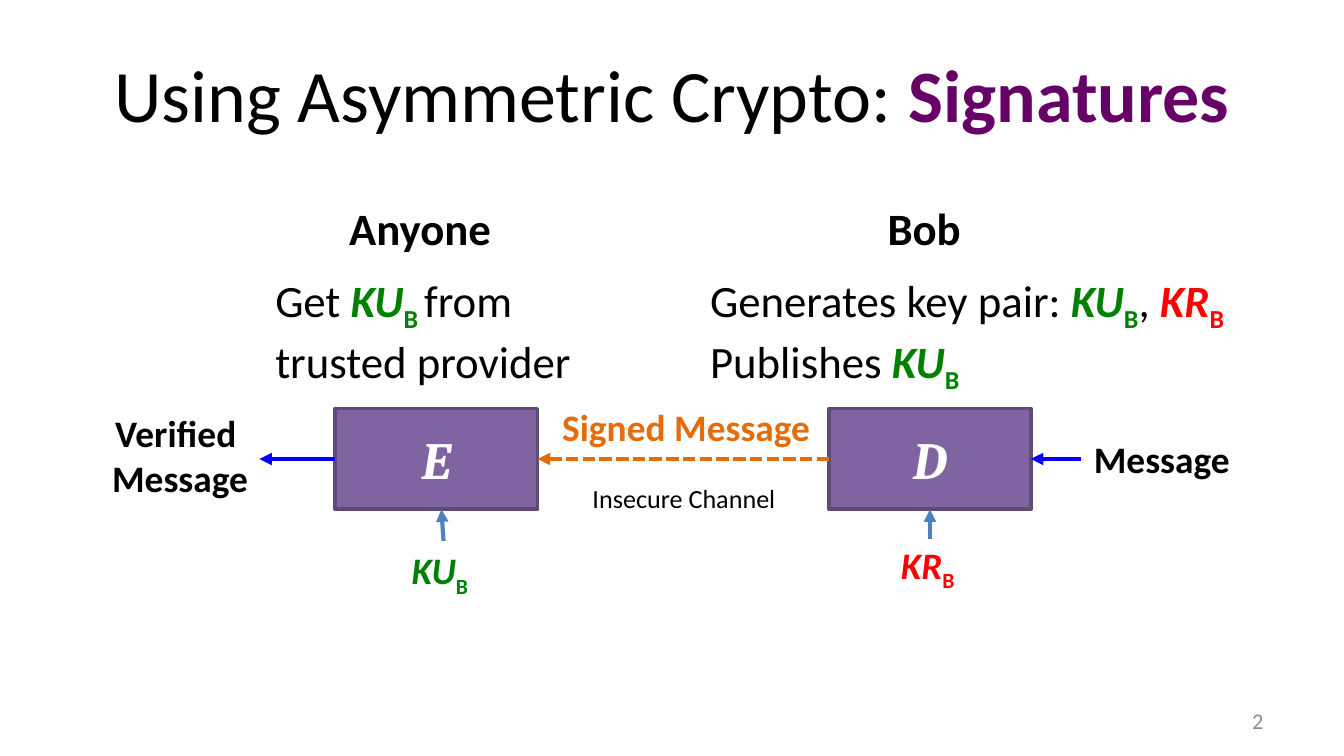
"""Build a slide that shows how a message is signed and verified with asymmetric keys."""
from lxml import etree
from pptx import Presentation, util as u
from pptx.dml.color import RGBColor
from pptx.enum import dml, shapes, text
from pptx.oxml.ns import qn

PX = 4572
COLORS = {
    "black": "000000", "white": "FFFFFF", "gray": "8C8C8C", "plum": "660066",
    "green": "008000", "red": "FF0000", "orange": "E46C0A", "blue": "0000FF",
    "steel": "4F81BD", "box": "8064A2", "edge": "5F4A78",
}
STYLES = {
    "plain": ("black", False, False, 0),
    "bold": ("black", True, False, 0),
    "page": ("gray", False, False, 0),
    "title": ("plum", True, False, 0),
    "signed": ("orange", True, False, 0),
    "cipher": ("white", True, True, 0),
    "public": ("green", True, True, 0),
    "public sub": ("green", True, False, -25),
    "private": ("red", True, True, 0),
    "private sub": ("red", True, False, -25),
}
KU = [("KU", "public"), ("B", "public sub")]
KR = [("KR", "private"), ("B", "private sub")]
L, C, R = text.PP_ALIGN.LEFT, text.PP_ALIGN.CENTER, text.PP_ALIGN.RIGHT
TOP, MID = text.MSO_ANCHOR.TOP, text.MSO_ANCHOR.MIDDLE

LABELS = [
    ((100, 45, 1800, 188), 39.6, C, MID, True,
     [[("Using Asymmetric Crypto: ", "plain"), ("Signatures", "title")]]),
    ((1433, 1043, 467, 60), 12, R, MID, True, [[("2", "page")]]),
    ((500, 289, 255, 101), 24, L, TOP, False, [[("Anyone", "bold")]]),
    ((1301, 289, 150, 101), 24, L, TOP, False, [[("Bob", "bold")]]),
    ((390, 396, 500, 182), 24, L, TOP, True,
     [[("Get ", "plain"), KU[0], ("B ", "public sub"),
       ("from trusted provider", "plain")]]),
    ((1037, 396, 912, 182), 24, L, TOP, True,
     [[("Generates key pair: ", "plain"), *KU, (", ", "plain"), *KR],
      [("Publishes ", "plain"), *KU]]),
    ((145, 601, 246, 155), 20, C, TOP, False,
     [[("Verified ", "bold")], [("Message", "bold")]]),
    ((817, 591, 414, 88), 20, L, TOP, False, [[("Signed Message", "signed")]]),
    ((1608, 640, 246, 88), 20, L, TOP, False, [[("Message", "bold")]]),
    ((844, 708, 348, 68), 14, C, TOP, True, [[("Insecure Channel", "plain")]]),
    ((593, 805, 134, 88), 20, L, TOP, False, [KU]),
    ((1321, 797, 128, 88), 20, L, TOP, False, [KR]),
]
BOXES = {"E": (499, 608, 301, 150), "D": (1234, 608, 300, 150)}
ARROWS = [
    ((1234, 683), (800, 683), "orange", ("D", 1), ("E", 3)),
    ((499, 683), (386, 683), "blue", ("E", 1), None),
    ((1608, 683), (1534, 683), "blue", None, ("D", 3)),
    ((660, 805), (657, 758), "steel", None, None),
    ((1384, 802), (1384, 758), "steel", None, ("D", 2)),
]


def scale(nums):
    return [n * PX for n in nums]


def color(name):
    return RGBColor.from_string(COLORS[name])


def write(shape, paras, size, align, anchor, wrap, face="Calibri"):
    frame = shape.text_frame
    frame.word_wrap = wrap
    frame.vertical_anchor = anchor
    for i, parts in enumerate(paras):
        para = frame.add_paragraph() if i else frame.paragraphs[0]
        para.alignment = align
        for words, style in parts:
            run = para.add_run()
            run.text = words
            hue, bold, slant, base = STYLES[style]
            font = run.font
            font.name, font.size = face, u.Pt(size)
            font.bold, font.italic = bold, slant
            font.color.rgb = color(hue)
            if base:
                run._r.get_or_add_rPr().set("baseline", str(base * 1000))


def add_box(slide, name, place):
    box = slide.shapes.add_shape(shapes.MSO_SHAPE.RECTANGLE, *scale(place))
    box.shadow.inherit = False
    box.fill.solid()
    box.fill.fore_color.rgb = color("box")
    box.line.color.rgb = color("edge")
    box.line.width = u.Pt(2)
    write(box, [[(name, "cipher")]], 28, C, MID, False, "Cambria")
    return box


def add_arrow(slide, boxes, start, end, hue, source, target):
    arrow = slide.shapes.add_connector(
        shapes.MSO_CONNECTOR.STRAIGHT, *scale(start + end))
    if source:
        arrow.begin_connect(boxes[source[0]], source[1])
    if target:
        arrow.end_connect(boxes[target[0]], target[1])
    arrow.line.color.rgb = color(hue)
    arrow.line.width = u.Pt(2.25)
    if source and target:
        arrow.line.dash_style = dml.MSO_LINE.SQUARE_DOT
    props = arrow._element.spPr
    etree.SubElement(props.find(qn("a:ln")), qn("a:tailEnd"), type="triangle")
    etree.SubElement(props, qn("a:effectLst"))


def main():
    deck = Presentation()
    deck.slide_width, deck.slide_height = scale((2000, 1125))
    slide = deck.slides.add_slide(deck.slide_layouts[6])
    boxes = {name: add_box(slide, name, place) for name, place in BOXES.items()}
    for arrow in ARROWS:
        add_arrow(slide, boxes, *arrow)
    for place, size, align, anchor, wrap, paras in LABELS:
        label = slide.shapes.add_textbox(*scale(place))
        write(label, paras, size, align, anchor, wrap)
    deck.save("out.pptx")


if __name__ == "__main__":
    main()
